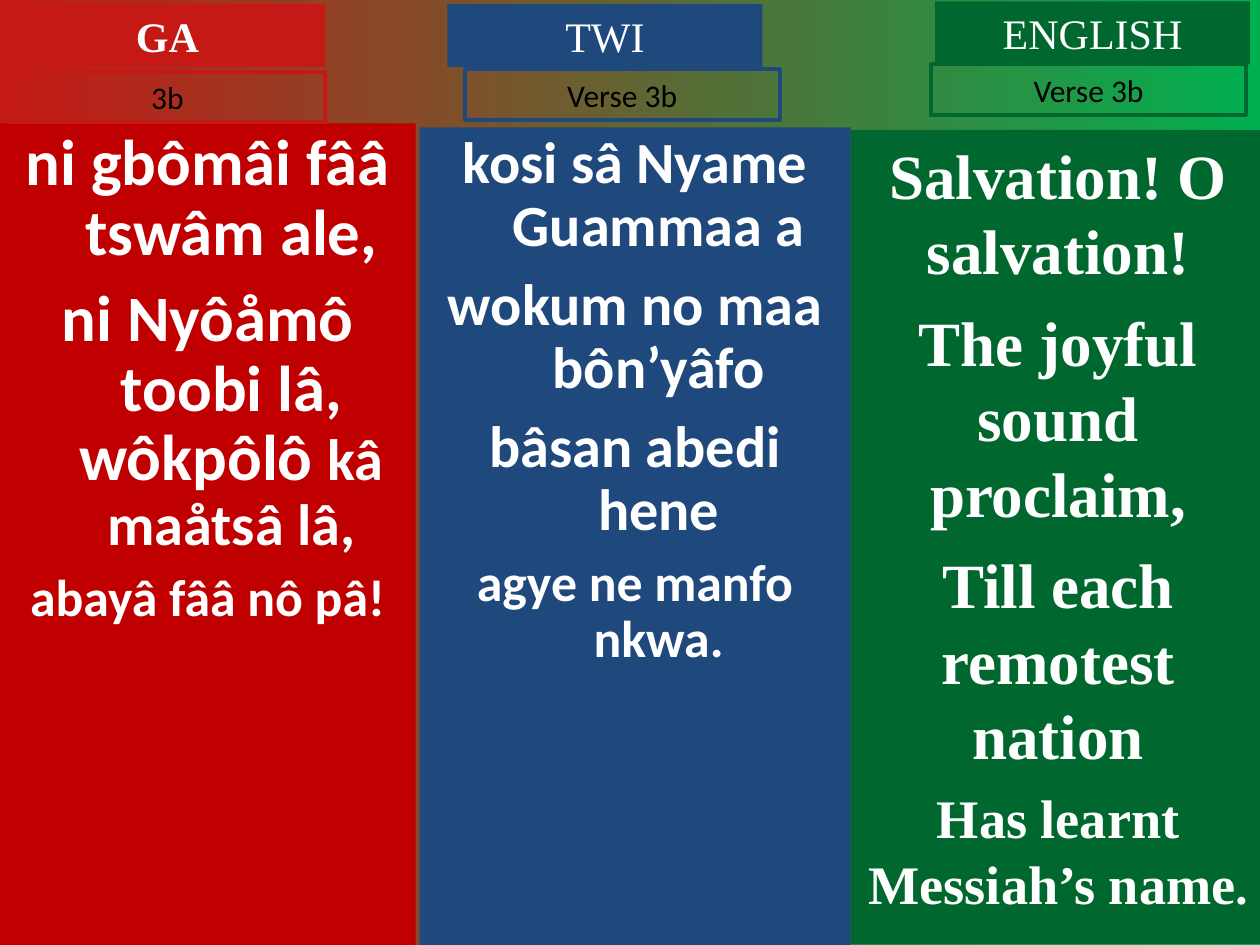
import pptx
import pptx.util
import pptx.dml.color
import pptx.enum.shapes
import pptx.enum.text

Cm, Pt = pptx.util.Cm, pptx.util.Pt
SERIF, SANS = "Times New Roman", "Calibri"
WHITE, BLACK = "FFFFFF", "000000"


def color(hex_string):
    return pptx.dml.color.RGBColor.from_string(hex_string)


def add_panel(left, top, width, height, paragraphs, font, text_color,
              fill=None, line=None, hanging=0, spacing=None, grow=False):
    """Each paragraph is (space before, [(text, size, bold), ...])."""
    box = slide.shapes.add_shape(pptx.enum.shapes.MSO_SHAPE.RECTANGLE,
                                 Cm(left), Cm(top), Cm(width), Cm(height))
    box.shadow.inherit = False
    if fill:
        box.fill.solid()
        box.fill.fore_color.rgb = color(fill)
    else:
        box.fill.background()
    if line:
        box.line.color.rgb = color(line)
        box.line.width = Pt(2.25)
    else:
        box.line.fill.background()

    frame = box.text_frame
    frame.word_wrap = True
    frame.vertical_anchor = pptx.enum.text.MSO_ANCHOR.TOP
    if grow:
        frame.auto_size = pptx.enum.text.MSO_AUTO_SIZE.SHAPE_TO_FIT_TEXT
    for index, (before, runs) in enumerate(paragraphs):
        para = frame.add_paragraph() if index else frame.paragraphs[0]
        para.alignment = pptx.enum.text.PP_ALIGN.CENTER
        para.space_before = Pt(before)
        if spacing:
            para.line_spacing = spacing
        if hanging:
            properties = para._p.get_or_add_pPr()
            properties.set("marL", str(Cm(hanging)))
            properties.set("indent", str(-Cm(hanging)))
        for text, size, bold in runs:
            span = para.add_run()
            span.text = text
            span.font.name = font
            span.font.size = Pt(size)
            span.font.bold = bold
            span.font.color.rgb = color(text_color)


deck = pptx.Presentation()
deck.slide_width, deck.slide_height = Cm(25.4), Cm(19.05)
slide = deck.slides.add_slide(deck.slide_layouts[6])

# Red to green background
background = slide.background.fill
background.gradient()
background.gradient_angle = 0
for stop, shade in zip(background.gradient_stops, ("C51915", "00B050")):
    stop.color.rgb = color(shade)

# Lyrics in three languages
ga_lyrics = [
    (0, [("ni gbômâi fââ tswâm ale,", 37, True)]),
    (9, [("ni Nyôåmô toobi lâ, wôkpôlô ", 37, True),
         ("kâ maåtsâ lâ,", 33.3, True)]),
    (8, [("abayâ fââ nô pâ!", 29.6, True)]),
]
twi_lyrics = [
    (0, [("kosi sâ Nyame Guammaa a", 33.3, True)]),
    (9, [("wokum no maa bôn’yâfo", 33.3, True)]),
    (9, [("bâsan abedi hene", 33.3, True)]),
    (8, [("agye ne manfo nkwa.", 29.6, True)]),
]
english_lyrics = [
    (0, [("Salvation! O salvation!", 36, True)]),
    (9, [("The joyful sound proclaim,", 36, True)]),
    (9, [("Till each remotest nation", 36, True)]),
    (7, [("Has learnt Messiah’s name", 31, True), (".", 28, True)]),
]
add_panel(0, 2.49, 8.38, 16.56, ga_lyrics, SANS, WHITE,
          fill="C00000", hanging=0.95, spacing=0.9)
add_panel(8.46, 2.57, 8.69, 16.48, twi_lyrics, SANS, WHITE,
          fill="1F497D", hanging=0.95, spacing=0.9)
add_panel(17.15, 2.62, 8.36, 16.41, english_lyrics, SERIF, WHITE,
          fill="00682F")

# Language headings with the verse label below each
headings = [
    ("GA", True, 0.2, 0.08, "3b", 0.2, 1.45, "C51915"),
    ("TWI", False, 9.02, 0.08, "Verse 3b", 9.37, 1.4, "1F497D"),
    ("ENGLISH", False, 18.85, 0.03, "Verse 3b", 18.77, 1.3, "00682F"),
]
for language, bold, left, top, verse, verse_left, verse_top, shade in headings:
    add_panel(left, top, 6.35, 1.27, [(0, [(language, 24, bold)])],
              SERIF, WHITE, fill=shade, grow=True)
    add_panel(verse_left, verse_top, 6.35, 1.02, [(0, [(verse, 18, False)])],
              SANS, BLACK, line=shade, grow=True)

deck.save("out.pptx")
